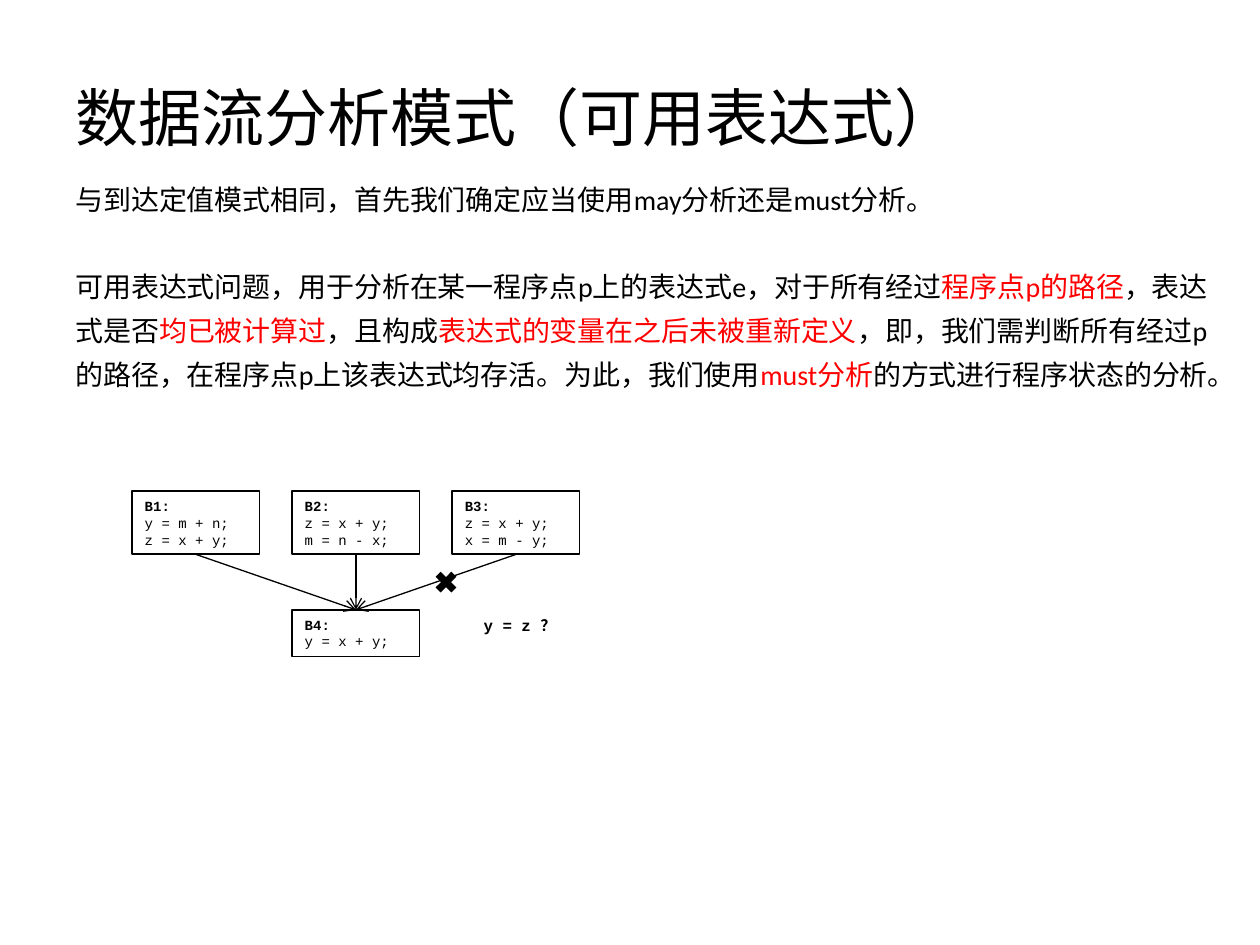
from lxml import etree
from pptx import Presentation
from pptx.dml.color import RGBColor
from pptx.enum.shapes import MSO_CONNECTOR, MSO_SHAPE
from pptx.enum.text import MSO_ANCHOR, PP_ALIGN
from pptx.oxml.ns import qn
from pptx.util import Inches, Pt

BLACK = RGBColor(0x00, 0x00, 0x00)
RED = RGBColor(0xFF, 0x00, 0x00)
RECT, CROSS = MSO_SHAPE.RECTANGLE, MSO_SHAPE.MATH_MULTIPLY
STRAIGHT = MSO_CONNECTOR.STRAIGHT
TOP, MIDDLE, LEFT = MSO_ANCHOR.TOP, MSO_ANCHOR.MIDDLE, PP_ALIGN.LEFT
BOTTOM_SITE, TOP_SITE = 2, 0

TITLE = {"name": "Calibri", "size": Pt(36)}
BODY = {"name": "Calibri", "size": Pt(16)}
CODE = {"name": "Courier New", "size": Pt(8), "bold": False}
LABEL = {"name": "Courier New", "size": Pt(8), "bold": True}
QUESTION = {"name": "Courier New", "size": Pt(9), "bold": True}

BLOCK_LEFT, BLOCK_PITCH, BLOCK_WIDTH = 1.05, 1.27, 1.01
SOURCE_TOP, SOURCE_HEIGHT = 3.9, 0.5
TARGET_TOP, TARGET_HEIGHT = 4.84, 0.37

SOURCES = [
    ("B1:", "y = m + n;", "z = x + y;"),
    ("B2:", "z = x + y;", "m = n - x;"),
    ("B3:", "z = x + y;", "x = m - y;"),
]
TARGET = ("B4:", "y = x + y;")

INTRO = [("与到达定值模式相同，首先我们确定应当使用may分析还是must分析。", BLACK)]
EXPLANATION = [
    ("可用表达式问题，用于分析在某一程序点p上的表达式e，对于所有经过", BLACK),
    ("程序点p的路径", RED),
    ("，表达式是否", BLACK),
    ("均已被计算过", RED),
    ("，且构成", BLACK),
    ("表达式的变量在之后未被重新定义", RED),
    ("，即，我们需判断所有经过p的路径，在程序点p上该表达式均存活。为此，我们使用", BLACK),
    ("must分析", RED),
    ("的方式进行程序状态的分析。", BLACK),
]


def add_run(p, text, style, color=BLACK):
    r = p.add_run()
    r.text = text
    for key, value in style.items():
        setattr(r.font, key, value)
    r.font.color.rgb = color


def add_text(slide, box, anchor=TOP):
    """Add a wrapping text box and return its text frame."""
    tf = slide.shapes.add_textbox(*map(Inches, box)).text_frame
    tf.word_wrap = True
    tf.vertical_anchor = anchor
    return tf


def add_body(slide, box, paragraphs):
    tf = add_text(slide, box)
    for i, runs in enumerate(paragraphs):
        p = tf.add_paragraph() if i else tf.paragraphs[0]
        p.line_spacing = 1.3
        if i:
            p.space_before = Pt(25)
        for text, color in runs:
            add_run(p, text, BODY, color)


def add_block(slide, column, top, height, lines):
    """Add a basic block: a bold label above its statements."""
    left = BLOCK_LEFT + column * BLOCK_PITCH
    sp = slide.shapes.add_shape(RECT, *map(Inches, (left, top, BLOCK_WIDTH, height)))
    sp.shadow.inherit = False
    sp.fill.background()
    sp.line.color.rgb = BLACK
    sp.line.width = Pt(1)
    tf = sp.text_frame
    tf.word_wrap = True
    tf.vertical_anchor = TOP
    for i, text in enumerate(lines):
        p = tf.add_paragraph() if i else tf.paragraphs[0]
        p.alignment = LEFT
        add_run(p, text, CODE if i else LABEL)
    return sp


def add_arrow(slide, source, target):
    c = slide.shapes.add_connector(STRAIGHT, 0, 0, 0, 0)
    c.begin_connect(source, BOTTOM_SITE)
    c.end_connect(target, TOP_SITE)
    c.line.color.rgb = BLACK
    c.line.width = Pt(0.75)
    etree.SubElement(c.line._get_or_add_ln(), qn("a:tailEnd"), type="arrow")
    etree.SubElement(c._element.spPr, qn("a:effectLst"))


def add_cross(slide, box):
    sp = slide.shapes.add_shape(CROSS, *map(Inches, box))
    sp.shadow.inherit = False
    sp.fill.solid()
    sp.fill.fore_color.rgb = BLACK
    sp.line.fill.background()


def main():
    prs = Presentation()
    prs.slide_width, prs.slide_height = Inches(10), Inches(7.5)
    slide = prs.slides.add_slide(prs.slide_layouts[6])

    title = add_text(slide, (0.5, 0.3, 9, 1.25), MIDDLE)
    add_run(title.paragraphs[0], "数据流分析模式（可用表达式）", TITLE)
    add_body(slide, (0.5, 1.32, 9.37, 6.14), [INTRO, EXPLANATION])

    target = add_block(slide, 1, TARGET_TOP, TARGET_HEIGHT, TARGET)
    for column, lines in enumerate(SOURCES):
        source = add_block(slide, column, SOURCE_TOP, SOURCE_HEIGHT, lines)
        add_arrow(slide, source, target)
    add_cross(slide, (3.42, 4.5, 0.24, 0.24))

    question = add_text(slide, (3.74, TARGET_TOP, 1, 0.25))
    add_run(question.paragraphs[0], "y = z ？", QUESTION)
    prs.save("out.pptx")


if __name__ == "__main__":
    main()
